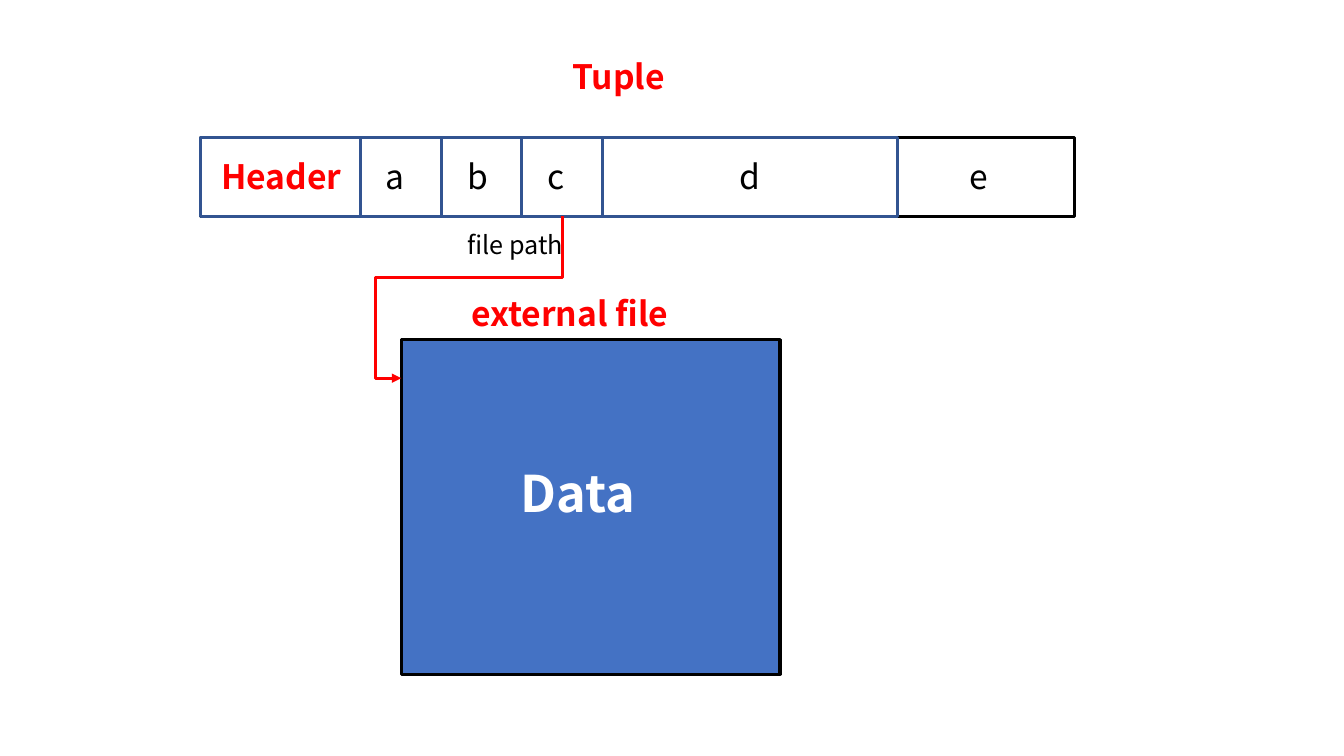
from lxml.etree import SubElement
from pptx import Presentation
from pptx.dml.color import RGBColor
from pptx.enum.shapes import MSO_CONNECTOR, MSO_SHAPE
from pptx.enum.text import MSO_ANCHOR, MSO_AUTO_SIZE, PP_ALIGN
from pptx.oxml.ns import qn
from pptx.util import Cm, Pt

FONT = "Noto Sans CJK SC"
RED, BLACK, WHITE = "FF0000", "000000", "FFFFFF"
BLUE, NAVY = "4472C4", "325491"


def paint(color, value):
    """Set a colour format from a hex string."""
    color.rgb = RGBColor.from_string(value)


class Diagram:
    line_width = Pt(2.25)

    def __init__(self, slide):
        self.slide = slide

    def rect(self, x, y, w, h, fill, line):
        sp = self.slide.shapes.add_shape(
            MSO_SHAPE.RECTANGLE, Cm(x), Cm(y), Cm(w), Cm(h))
        sp.shadow.inherit = False
        sp.fill.solid()
        paint(sp.fill.fore_color, fill)
        paint(sp.line.color, line)
        sp.line.width = self.line_width

    def fill_text(self, sp, text, size, color, bold):
        tf = sp.text_frame
        tf.word_wrap = True
        tf.auto_size = MSO_AUTO_SIZE.SHAPE_TO_FIT_TEXT
        tf.vertical_anchor = MSO_ANCHOR.TOP
        p = tf.paragraphs[0]
        p.alignment = PP_ALIGN.LEFT
        r = p.add_run()
        r.text = text
        r.font.name = FONT
        r.font.size = Pt(size)
        r.font.bold = bold
        paint(r.font.color, color)

    def title(self, text, x, y, w, h):
        sp = self.slide.shapes.title
        sp.left, sp.top, sp.width, sp.height = Cm(x), Cm(y), Cm(w), Cm(h)
        self.fill_text(sp, text, 24, RED, True)

    def label(self, text, x, y, w, h=1.28, size=24, color=BLACK, bold=False):
        sp = self.slide.shapes.add_textbox(Cm(x), Cm(y), Cm(w), Cm(h))
        self.fill_text(sp, text, size, color, bold)

    def elbow_arrow(self, x1, y1, x2, y2, drop, overshoot):
        """Go down, left past the target, down, then right into it.

        drop and overshoot are the two bends, as fractions of height and width.
        """
        w, h = x1 - x2, y2 - y1
        # A quarter turn swaps the sides of the frame around its centre.
        left, top = (x1 + x2 - h) / 2, (y1 + y2 - w) / 2
        cxn = self.slide.shapes.add_connector(
            MSO_CONNECTOR.ELBOW, Cm(left), Cm(top), Cm(left + h), Cm(top + w))
        paint(cxn.line.color, RED)
        cxn.line.width = self.line_width
        sp_pr = cxn._element.spPr
        sp_pr.find(qn("a:xfrm")).set("rot", str(90 * 60000))
        geom = sp_pr.find(qn("a:prstGeom"))
        geom.set("prst", "bentConnector4")
        guides = geom.find(qn("a:avLst"))
        for name, share in (("adj1", drop), ("adj2", overshoot)):
            SubElement(guides, qn("a:gd"), name=name,
                       fmla=f"val {round(share * 100000)}")
        SubElement(sp_pr.find(qn("a:ln")), qn("a:tailEnd"), type="triangle")
        SubElement(sp_pr, qn("a:effectLst"))


def main():
    prs = Presentation()
    prs.slide_width, prs.slide_height = Cm(33.87), Cm(19.05)
    d = Diagram(prs.slides.add_slide(prs.slide_layouts[5]))
    d.title("Tuple", 14.17, 1.27, 3.28, 1.28)

    # Tuple row: text, cell width, label offset
    row_x, row_y, row_w, row_h = 5.05, 3.47, 22.02, 1.98
    label_y = 3.81
    fields = [("a", 2.03, 0.38), ("b", 2.03, 0.4), ("c", 2.03, 0.4),
              ("d", 7.44, 3.2)]
    header_w = 4.04
    d.rect(row_x, row_y, row_w, row_h, WHITE, BLACK)
    d.rect(row_x, row_y, header_w, row_h, WHITE, NAVY)
    d.label("Header", row_x + 0.28, label_y, 3.63, color=RED, bold=True)
    x = row_x + header_w
    for text, w, offset in fields:
        d.rect(x, row_y, w, row_h, WHITE, NAVY)
        d.label(text, x + offset, label_y, 1.27)
        x += w
    d.label("e", x + 1.57, label_y, 1.27)

    # External file
    file_x, file_y = 10.11, 8.56
    d.rect(file_x, file_y, 9.55, 8.43, BLUE, BLACK)
    d.label("external file", 11.63, 7.26, 7.09, color=RED, bold=True)
    d.elbow_arrow(14.18, row_y + row_h, file_x, 9.53, 0.38, 1.16)
    d.label("Data", 12.88, 11.51, 4.27, 1.8, 36, WHITE, True)
    d.label("file path", 11.53, 5.66, 2.97, 1.02, 18)

    prs.save("out.pptx")


if __name__ == "__main__":
    main()
